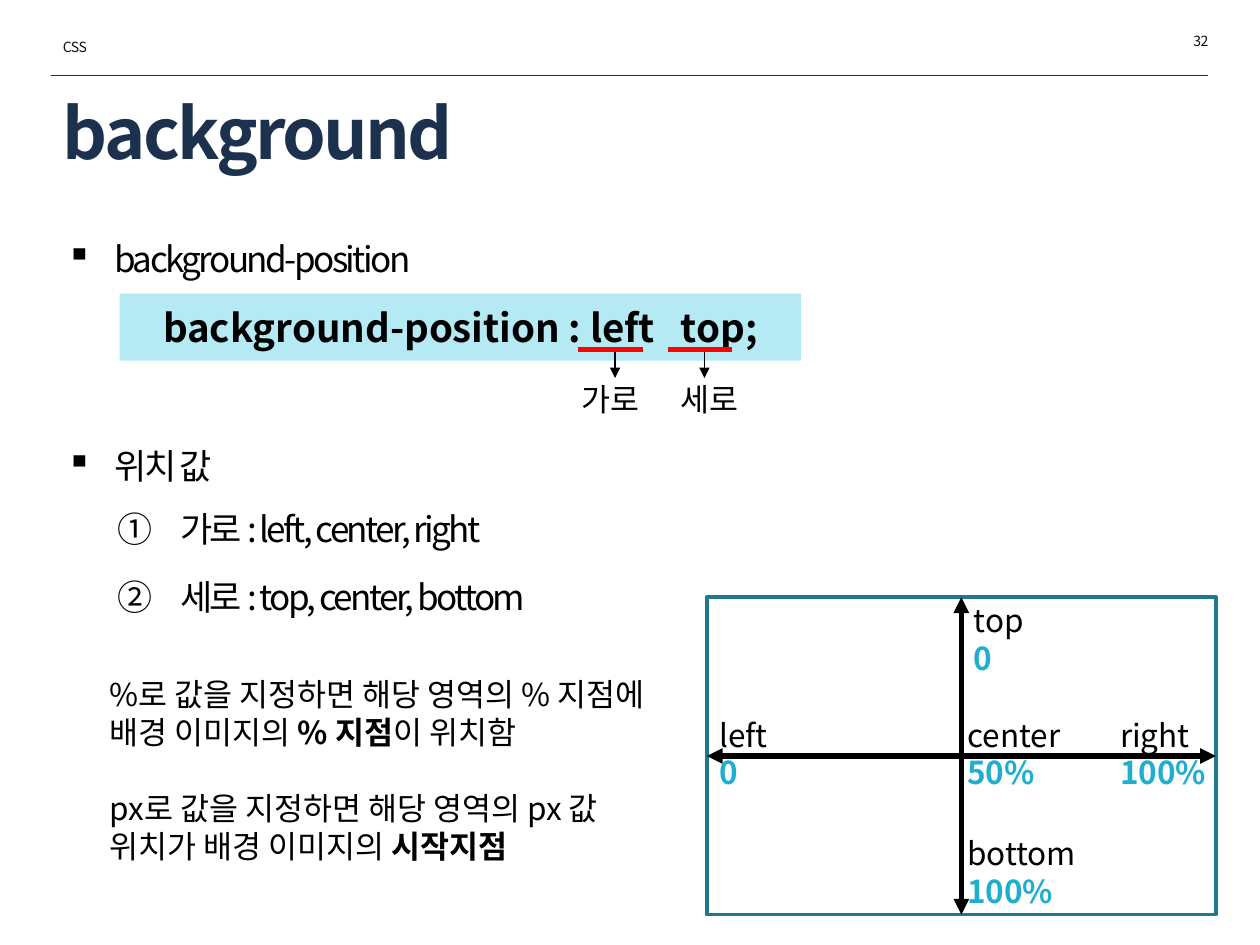
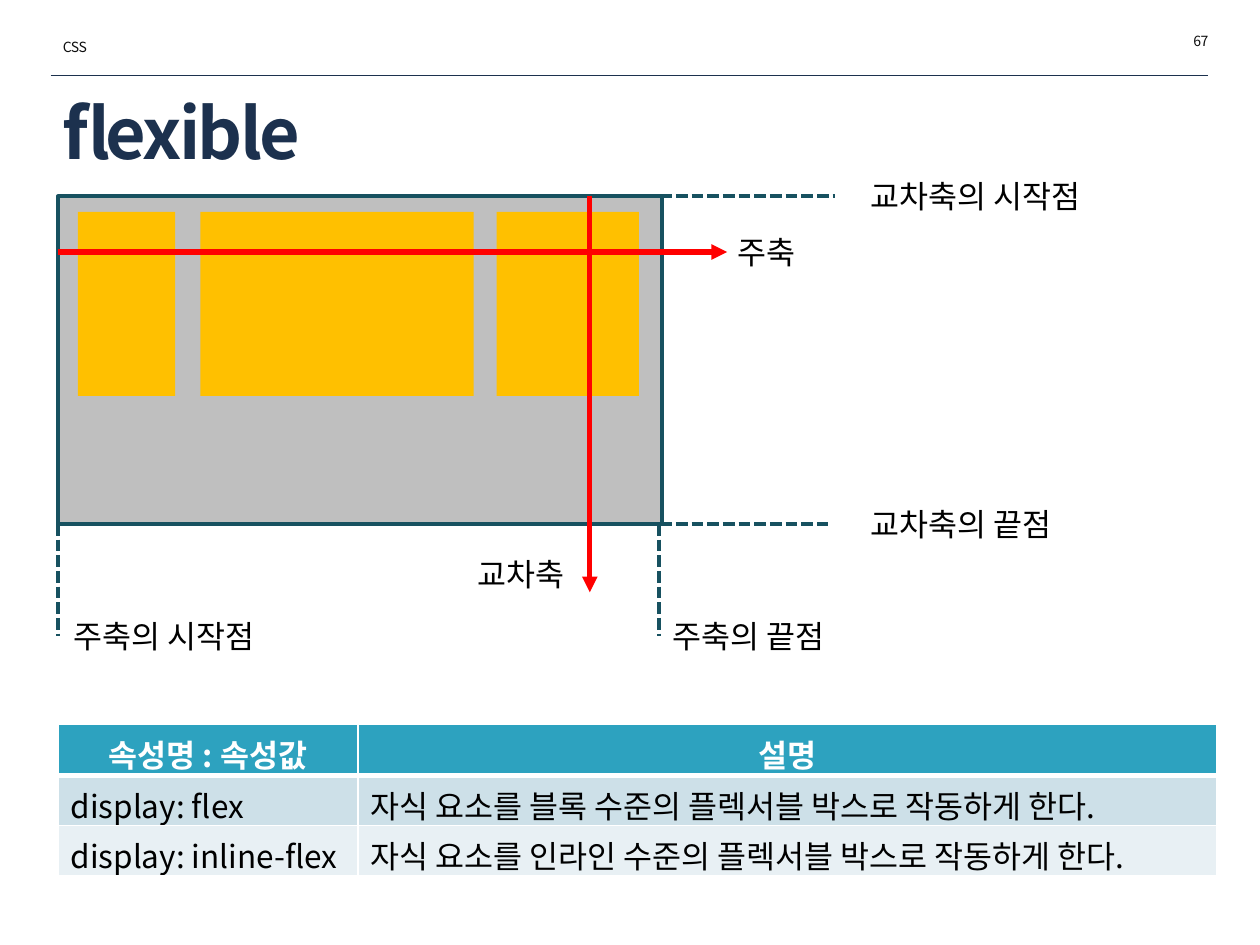
"""Build two CSS lesson slides: background position and flexible boxes."""
import dataclasses
import typing

import lxml.etree
import pptx
import pptx.dml.color
import pptx.enum.dml
import pptx.enum.shapes
import pptx.enum.text
import pptx.oxml.ns
import pptx.util

Cm = pptx.util.Cm
Pt = pptx.util.Pt
qn = pptx.oxml.ns.qn
ALIGN = pptx.enum.text.PP_ALIGN
MIDDLE = pptx.enum.text.MSO_ANCHOR.MIDDLE

FONT = "Noto Sans CJK KR"
NAVY, INK, BLACK, WHITE, RED = "1C314E", "0D0D0D", "000000", "FFFFFF", "FF0000"
CYAN, PALE_CYAN, TEAL, DARK_TEAL = "1FAECD", "B5E9F4", "21788D", "175160"
GREY, AMBER = "BFBFBF", "FFC000"
HEAD_FILL, ROW_FILLS = "2DA2BF", ("CDE0E8", "E8F0F4")


@dataclasses.dataclass(frozen=True)
class Style:
    size: float = 18
    color: str = BLACK
    bold: bool = False
    spacing: float = 0


@dataclasses.dataclass(frozen=True)
class Piece:
    text: str
    style: Style


@dataclasses.dataclass(frozen=True)
class Box:
    x: float
    y: float
    w: float
    h: float
    fill: str | None = None
    line: str | None = None
    weight: float = 2


@dataclasses.dataclass(frozen=True)
class Line:
    x1: float
    y1: float
    x2: float
    y2: float
    color: str = BLACK
    weight: float = 3
    head: bool = False
    tail: bool = False
    dashed: bool = False


@dataclasses.dataclass(frozen=True)
class Label:
    x: float
    y: float
    w: float
    text: str
    value: str = ""


@dataclasses.dataclass(frozen=True)
class Bullet:
    text: str
    numbered: bool = False


NORMAL = Style()
BOLD = Style(bold=True)
VALUE = Style(color=CYAN, bold=True)
TITLE = Style(40, NAVY, True, -1.5)
SMALL = Style(8, INK, spacing=-0.3)
BODY = Style(20, spacing=-1.5)
FORMULA = Style(22, bold=True)


def rgb(value: str) -> pptx.dml.color.RGBColor:
    """Turn a hex string into a colour."""
    return pptx.dml.color.RGBColor.from_string(value)


def format_run(r: typing.Any, style: Style) -> None:
    """Apply a text style to a run."""
    r.font.size = Pt(style.size)
    r.font.bold = style.bold
    r.font.color.rgb = rgb(style.color)
    r.font.name = FONT
    rpr = r.font._element
    lxml.etree.SubElement(rpr, qn("a:ea"), typeface=FONT)
    if style.spacing:
        rpr.set("spc", str(round(style.spacing * 100)))


def write(p: typing.Any, text: str, style: Style, align: typing.Any = None) -> None:
    """Set a paragraph in one style."""
    p.text = text
    p.alignment = align
    for r in p.runs:
        format_run(r, style)


def write_pieces(p: typing.Any, pieces: typing.Iterable[Piece]) -> None:
    """Set a paragraph in several styles."""
    for piece in pieces:
        r = p.add_run()
        r.text = piece.text
        format_run(r, piece.style)


def add_text(s: typing.Any, x: float, y: float, w: float, h: float) -> typing.Any:
    """Add a wrapping text box and return its frame."""
    tf = s.shapes.add_textbox(Cm(x), Cm(y), Cm(w), Cm(h)).text_frame
    tf.word_wrap = True
    return tf


def add_label(s: typing.Any, label: Label) -> None:
    """Add a label with an optional value below it."""
    tf = add_text(s, label.x, label.y, label.w, 1.8 if label.value else 1.02)
    write(tf.paragraphs[0], label.text, NORMAL)
    if label.value:
        write(tf.add_paragraph(), label.value, VALUE)


def add_box(s: typing.Any, box: Box) -> typing.Any:
    """Add a flat rectangle."""
    kind = pptx.enum.shapes.MSO_SHAPE.RECTANGLE
    sp = s.shapes.add_shape(kind, Cm(box.x), Cm(box.y), Cm(box.w), Cm(box.h))
    sp.shadow.inherit = False
    for part, color in ((sp.fill, box.fill), (sp.line.fill, box.line)):
        if color:
            part.solid()
            part.fore_color.rgb = rgb(color)
        else:
            part.background()
    if box.line:
        sp.line.width = Pt(box.weight)
    return sp


def add_line(s: typing.Any, line: Line) -> None:
    """Add a straight line with optional arrowheads."""
    kind = pptx.enum.shapes.MSO_CONNECTOR.STRAIGHT
    sp = s.shapes.add_connector(kind, Cm(line.x1), Cm(line.y1), Cm(line.x2), Cm(line.y2))
    sp.line.color.rgb = rgb(line.color)
    sp.line.width = Pt(line.weight)
    if line.dashed:
        sp.line.dash_style = pptx.enum.dml.MSO_LINE.SQUARE_DOT
    ln = sp._element.spPr.find(qn("a:ln"))
    for wanted, tag in ((line.head, "a:headEnd"), (line.tail, "a:tailEnd")):
        if wanted:
            lxml.etree.SubElement(ln, qn(tag), type="triangle")
    lxml.etree.SubElement(sp._element.spPr, qn("a:effectLst"))


def add_bullets(s: typing.Any, y: float, h: float, bullets: list[Bullet]) -> None:
    """Add a list of square and numbered bullets."""
    tf = add_text(s, 1.02, y, 23.34, h)
    for i, bullet in enumerate(bullets):
        p = tf.add_paragraph() if i else tf.paragraphs[0]
        ppr = p._p.get_or_add_pPr()
        left, indent = (2.36, -1.27) if bullet.numbered else (1.04, -0.97)
        ppr.set("marL", str(Cm(left)))
        ppr.set("indent", str(Cm(indent)))
        color = lxml.etree.SubElement(ppr, qn("a:buClr"))
        lxml.etree.SubElement(color, qn("a:srgbClr"), val=BLACK)
        if bullet.numbered:
            lxml.etree.SubElement(ppr, qn("a:buAutoNum"), type="circleNumDbPlain")
            p.level = 1
            p.space_after = Pt(3)
        else:
            lxml.etree.SubElement(ppr, qn("a:buChar"), char="▪")
        p.line_spacing = 1.5
        write(p, bullet.text, BODY)


def add_table(s: typing.Any, rows: list[tuple[str, str]]) -> None:
    """Add the property table with white cell borders."""
    widths, row_h = (6.05, 17.3), 1.01
    table = s.shapes.add_table(len(rows), len(widths), Cm(1.17), Cm(14.61),
                               Cm(sum(widths)), Cm(row_h * len(rows))).table
    for col, width in zip(table.columns, widths):
        col.width = Cm(width)
    for i, texts in enumerate(rows):
        table.rows[i].height = Cm(row_h)
        for j, text in enumerate(texts):
            cell = table.cell(i, j)
            tcpr = cell._tc.get_or_add_tcPr()
            for side in "LRTB":
                thick = (i, side) in ((0, "B"), (1, "T"))
                ln = lxml.etree.SubElement(tcpr, qn(f"a:ln{side}"), w=str(Pt(3 if thick else 1)))
                fill = lxml.etree.SubElement(ln, qn("a:solidFill"))
                lxml.etree.SubElement(fill, qn("a:srgbClr"), val=WHITE)
            cell.fill.solid()
            cell.fill.fore_color.rgb = rgb(ROW_FILLS[i - 1] if i else HEAD_FILL)
            style = NORMAL if i else Style(color=WHITE, bold=True)
            write(cell.text_frame.paragraphs[0], text, style, None if i else ALIGN.CENTER)


def new_slide(prs: typing.Any, title: str, number: int) -> typing.Any:
    """Add a slide with the shared header and title."""
    s = prs.slides.add_slide(prs.slide_layouts[6])
    add_line(s, Line(1.02, 1.52, 24.36, 1.52, NAVY, 0.25))
    tf = add_text(s, 1.02, 1.83, 23.24, 1.63)
    tf.vertical_anchor = MIDDLE
    write(tf.paragraphs[0], title, TITLE)
    tf = add_text(s, 20.22, 0.53, 4.39, 0.61)
    write(tf.paragraphs[0], str(number), SMALL, ALIGN.RIGHT)
    tf = add_text(s, 1.02, 0.66, 4.39, 0.61)
    write(tf.paragraphs[0], "CSS", SMALL)
    return s


def background_slide(prs: typing.Any) -> None:
    """Build the background-position slide."""
    s = new_slide(prs, "background", 32)
    tf = add_box(s, Box(2.41, 5.92, 13.74, 1.35, PALE_CYAN)).text_frame
    tf.vertical_anchor = MIDDLE
    p = tf.paragraphs[0]
    p.alignment = ALIGN.CENTER
    wide = dataclasses.replace(FORMULA, spacing=9.9)
    write_pieces(p, [Piece("background-position : left", FORMULA), Piece(" ", wide),
                     Piece("top;", FORMULA)])
    for text, label_x, x in (("가로", 11.48, 11.66), ("세로", 13.46, 13.46)):
        add_label(s, Label(label_x, 7.54, 1.96, text))
        add_line(s, Line(x + 0.74, 7.04, x + 0.74, 7.62, weight=0.75, tail=True))
        add_line(s, Line(x, 7.04, x + 1.3, 7.04, RED))
    add_bullets(s, 4.24, 1.55, [Bullet("background-position")])
    add_bullets(s, 8.41, 4.6, [Bullet("위치 값"),
                               Bullet("가로 : left, center, right", True),
                               Bullet("세로 : top, center, bottom", True)])

    area = Box(14.25, 12.04, 10.26, 6.4, line=TEAL)
    mid_x, mid_y = area.x + area.w / 2, area.y + area.h / 2
    add_box(s, area)
    add_line(s, Line(mid_x, area.y, mid_x, area.y + area.h, head=True, tail=True))
    add_line(s, Line(area.x, mid_y, area.x + area.w, mid_y, head=True, tail=True))
    for label in (Label(19.38, 11.99, 2.03, "top", "0"),
                  Label(22.33, 14.3, 2.29, "right", "100%"),
                  Label(14.25, 14.3, 2.29, "left", "0"),
                  Label(19.25, 14.3, 2.49, "center", "50%"),
                  Label(19.25, 16.69, 3.07, "bottom", "100%")):
        add_label(s, label)

    tf = add_text(s, 1.96, 13.49, 12.01, 4.11)
    write_pieces(tf.paragraphs[0], [
        Piece("%로 값을 지정하면 해당 영역의 % 지점에 배경 이미지의 ", NORMAL),
        Piece("% 지점", BOLD), Piece("이 위치함", NORMAL)])
    p = tf.add_paragraph()
    p.space_before = Pt(21.6)
    write_pieces(p, [Piece("px로 값을 지정하면 해당 영역의 px 값 위치가 배경 이미지의 ", NORMAL),
                     Piece("시작지점", BOLD)])


def flexible_slide(prs: typing.Any) -> None:
    """Build the flexible box slide."""
    s = new_slide(prs, "flexible", 67)
    left, top, right, bottom = 1.17, 3.96, 13.34, 10.56
    add_box(s, Box(left, top, right - left, bottom - top, GREY, DARK_TEAL, 2.25))
    for x, w in ((1.57, 1.96), (4.04, 5.51), (10.01, 2.87)):
        add_box(s, Box(x, 4.27, w, 3.71, AMBER))
    for ends in ((left, bottom, left, 12.83), (13.28, bottom, 13.28, 12.83),
                 (13.31, top, 16.84, top), (13.31, bottom, 16.69, bottom)):
        add_line(s, Line(*ends, DARK_TEAL, 2.25, dashed=True))
    add_line(s, Line(left, 5.08, 14.66, 5.08, RED, tail=True))
    add_line(s, Line(11.89, top, 11.89, 11.94, RED, tail=True))
    for label in (Label(17.3, 3.45, 5.99, "교차축의 시작점"),
                  Label(17.3, 10.06, 5.99, "교차축의 끝점"),
                  Label(13.31, 12.32, 5.99, "주축의 끝점"),
                  Label(1.24, 12.32, 5.99, "주축의 시작점"),
                  Label(9.37, 11.07, 2.9, "교차축"),
                  Label(14.61, 4.57, 2.9, "주축")):
        add_label(s, label)
    add_table(s, [("속성명 : 속성값", "설명"),
                  ("display: flex", "자식 요소를 블록 수준의 플렉서블 박스로 작동하게 한다."),
                  ("display: inline-flex", "자식 요소를 인라인 수준의 플렉서블 박스로 작동하게 한다.")])


def main() -> None:
    """Build and save the presentation."""
    prs = pptx.Presentation()
    prs.slide_width, prs.slide_height = Cm(25.4), Cm(19.05)
    background_slide(prs)
    flexible_slide(prs)
    prs.save("out.pptx")


if __name__ == "__main__":
    main()
